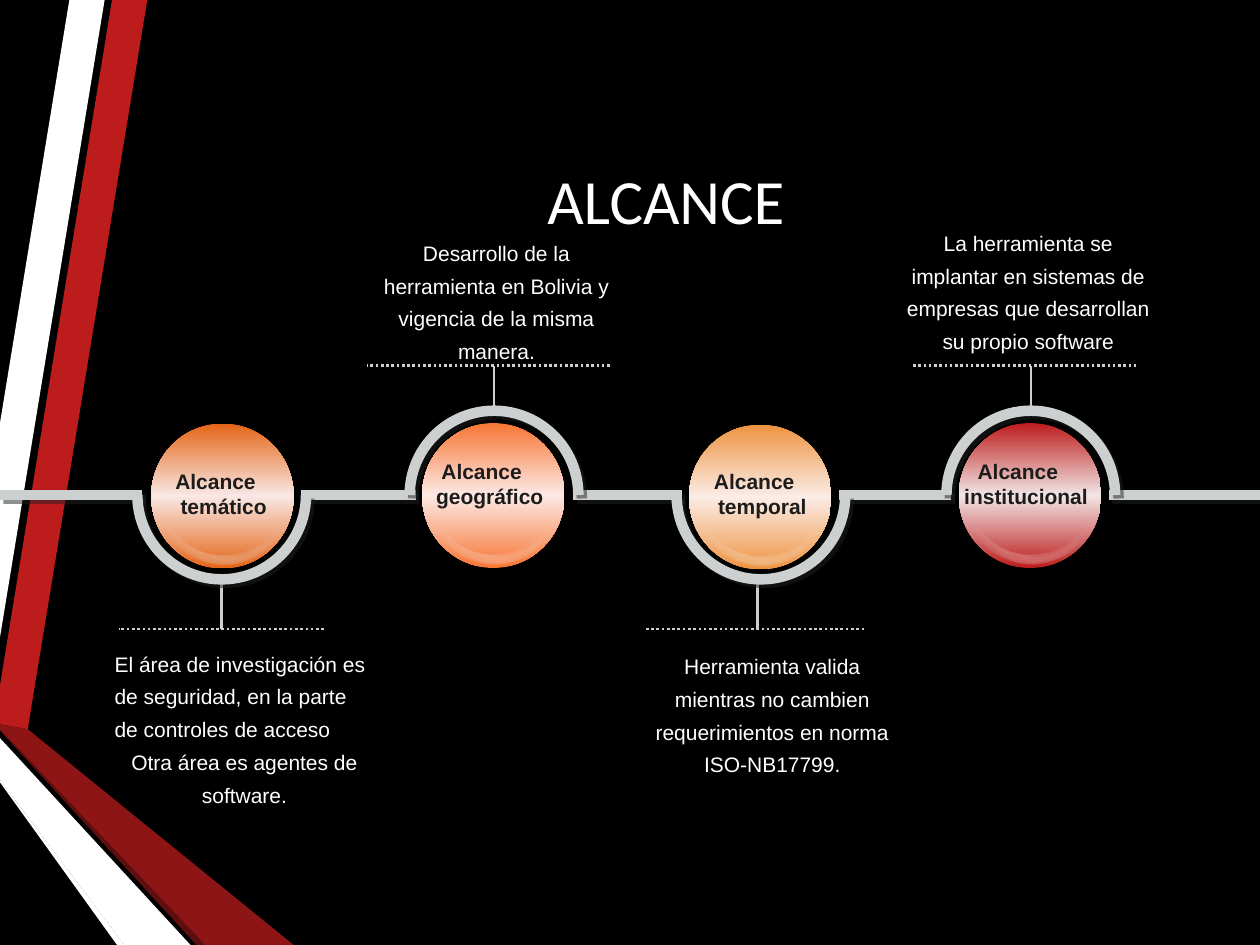
from copy import deepcopy
from math import cos, radians, sin

from lxml import etree
from pptx import Presentation
from pptx import util as u
from pptx.dml.color import RGBColor
from pptx.enum import dml, shapes, text
from pptx.oxml.ns import qn

THEME = {
    "bg": "000000", "white": "FFFFFF", "red": "BC1C1C", "dark": "8D1515",
    "edge": "5E0E0E", "track": "CDD0D1", "label": "1C1C1C", "shadow": "212121",
    "body_font": "Arial", "title_font": "Calibri", "body": 12, "title": 36,
}

# Content: lengths in cm; boxes are left, top, width, height
TITLE = ("ALCANCE", (2.72, 1.27, 21.41, 5.51))
STEPS = [
    dict(label="Alcance temático", label_box=(2.39, 9.32, 3.91, 1.27),
         paras=["El área de investigación es de seguridad, en la parte de controles de acceso",
                "Otra área es agentes de software."],
         note_box=(2.06, 12.85, 5.74, 3.58), up=False, cx=4.47, stem=4.47,
         rule=(2.39, 6.53), ball=(3.05, 8.54), fill=("E46416", "F9E8E5")),
    dict(label="Alcance geográfico", label_box=(7.92, 9.12, 3.58, 1.27),
         paras=["Desarrollo de la herramienta en Bolivia y vigencia de la misma manera."],
         note_box=(7.14, 4.57, 5.74, 2.92), up=True, cx=9.96, stem=9.96,
         rule=(7.39, 12.29), ball=(8.51, 8.53), fill=("F67534", "FDE9E5")),
    dict(label="Alcance temporal", label_box=(13.49, 9.32, 3.43, 1.27),
         paras=["Herramienta valida mientras no cambien requerimientos en norma ISO-NB17799."],
         note_box=(12.7, 12.9, 5.74, 2.92), up=False, cx=15.34, stem=15.27,
         rule=(13, 17.42), ball=(13.89, 8.56), fill=("EE9340", "FBECE6")),
    dict(label="Alcance institucional", label_box=(18.64, 9.12, 3.76, 1.27),
         paras=["La herramienta se implantar en sistemas de empresas que desarrollan su propio software"],
         note_box=(17.86, 4.37, 5.74, 2.84), up=True, cx=20.78, stem=20.78,
         rule=(18.39, 22.91), ball=(19.33, 8.53), fill=("BC1C1C", "F2E5E5")),
]
RIBBONS = [
    ("red", [(0, 13.82), (0, 14.6), (0.56, 14.7), (2.97, 0), (2.26, 0)]),
    ("white", [(2.11, 0), (1.4, 0), (0, 8.53), (0, 12.85)]),
    ("white", [(0, 15.72), (0, 15.77), (2.36, 19.05), (2.51, 19.05)]),
    ("edge", [(0, 14.7), (0, 14.73), (3.96, 19.05), (4.14, 19.05)]),
    ("dark", [(0, 14.7), (4.14, 19.05), (5.92, 19.05), (0.56, 14.7), (0, 14.6)]),
    ("white", [(0, 15.72), (2.51, 19.05), (3.84, 19.05), (0, 14.88)]),
]
TRACK_Y, ARC_R = 9.98, 1.7
TRACK = [(0, 2.87), (6.07, 8.38), (11.56, 13.74), (16.92, 19.18), (22.35, 25.4)]
STEM_Y = {True: (7.37, 8.28), False: (11.73, 12.67)}
RULE_Y = {True: 7.37, False: 12.68}
BALL_W, BALL_H = 2.87, 2.92
MOON_W, MOON_H, MOON_R = 0.38, 1.52, 1.19
MOON_ANGLES = [66.1, 79.7, 84.6, 93.5, 88.7, 102.2, 107.2, 116]


def rgb(color):
    return RGBColor.from_string(THEME.get(color, color))


def cm(*values):
    return [u.Cm(v) for v in values]


def plain(sp, color):
    sp.fill.solid()
    sp.fill.fore_color.rgb = rgb(color)
    sp.line.fill.background()
    sp.shadow.inherit = False


def stroke(sp, width, shadow=False):
    sp.line.color.rgb = rgb("track")
    sp.line.width = u.Pt(width)
    effects = etree.SubElement(sp._element.spPr, qn("a:effectLst"))
    if shadow:
        outer = etree.SubElement(effects, qn("a:outerShdw"), blurRad="0",
                                 dist=str(u.Pt(2.8)), dir="2700000", algn="ctr", rotWithShape="0")
        color = etree.SubElement(outer, qn("a:srgbClr"), val=THEME["shadow"])
        etree.SubElement(color, qn("a:alpha"), val="50000")


def line(s, x1, y1, x2, y2, width, shadow=False):
    sp = s.shapes.add_connector(shapes.MSO_CONNECTOR.STRAIGHT, *cm(x1, y1, x2, y2))
    stroke(sp, width, shadow)
    return sp


def write(s, box, paras, size, color, font="body_font", bold=False):
    tf = s.shapes.add_textbox(*cm(*box)).text_frame
    tf.word_wrap = True
    for i, words in enumerate(paras):
        p = tf.add_paragraph() if i else tf.paragraphs[0]
        p.text = words
        p.alignment = text.PP_ALIGN.CENTER
        p.font.name, p.font.size, p.font.bold = THEME[font], u.Pt(THEME[size]), bold
        p.font.color.rgb = rgb(color)
    return tf


def ball(s, left, top, colors):
    sp = s.shapes.add_shape(shapes.MSO_SHAPE.OVAL, *cm(left, top, BALL_W, BALL_H))
    plain(sp, colors[0])
    sp.fill.gradient()
    sp.fill.gradient_angle = 270
    stops = sp._element.spPr.find(".//" + qn("a:gsLst"))
    stops.append(deepcopy(stops[-1]))
    for stop, pos, color in zip(sp.fill.gradient_stops, (0, 0.5, 1), (*colors, colors[0])):
        stop.position, stop.color.rgb = pos, rgb(color)
    # Faint highlights fanned along the lower rim
    for angle in MOON_ANGLES:
        a = radians(angle - 3)
        x = left + BALL_W / 2 + MOON_R * cos(a) - MOON_W / 2
        y = top + BALL_H / 2 + MOON_R * sin(a) - MOON_H / 2
        sp = s.shapes.add_shape(shapes.MSO_SHAPE.MOON, *cm(x, y, MOON_W, MOON_H))
        sp.adjustments[0] = 0.5
        sp.rotation = angle + 180
        plain(sp, "white")
        color = sp._element.spPr.find(qn("a:solidFill"))[0]
        etree.SubElement(color, qn("a:alpha"), val="4000")


def main():
    prs = Presentation()
    prs.slide_width, prs.slide_height = cm(25.4, 19.05)
    s = prs.slides.add_slide(prs.slide_layouts[6])
    s.background.fill.solid()
    s.background.fill.fore_color.rgb = rgb("bg")

    # Ribbons at the left edge
    for color, points in RIBBONS:
        start, *rest = [cm(*pt) for pt in points]
        fb = s.shapes.build_freeform(*start)
        fb.add_line_segments(rest)
        plain(fb.convert_to_shape(), color)

    # Balls, stems, dotted rules and texts
    for st in STEPS:
        ball(s, *st["ball"], st["fill"])
    for st in STEPS:
        y1, y2 = STEM_Y[st["up"]]
        line(s, st["stem"], y1, st["stem"], y2, 1.5)
        (x1, x2), y = st["rule"], RULE_Y[st["up"]]
        line(s, x2, y, x1, y, 1.5).line.dash_style = dml.MSO_LINE.ROUND_DOT
        tf = write(s, st["note_box"], st["paras"], "body", "white")
        for p in tf.paragraphs:
            p.line_spacing = 1.3
        if len(tf.paragraphs) > 1:
            tf.paragraphs[0].alignment = text.PP_ALIGN.LEFT
        tf = write(s, st["label_box"], [st["label"]], "body", "label", bold=True)
        pPr = tf.paragraphs[0]._p.get_or_add_pPr()
        pPr.set("marL", str(u.Cm(0.33)))
        pPr.set("indent", str(-u.Cm(0.33)))

    # Track with half rings around the balls
    for x1, x2 in TRACK:
        line(s, x1, TRACK_Y, x2, TRACK_Y, 6, shadow=True)
    for st in STEPS:
        sp = s.shapes.add_shape(shapes.MSO_SHAPE.ARC, *cm(
            st["cx"] - ARC_R, TRACK_Y - ARC_R, 2 * ARC_R, 2 * ARC_R))
        # Angles in 60000ths of a degree, scaled by 100000
        sp.adjustments[0], sp.adjustments[1] = (108, 0) if st["up"] else (0, 108)
        sp.fill.background()
        stroke(sp, 6, shadow=True)

    # Title
    words, box = TITLE
    tf = write(s, box, [words], "title", "white", "title_font")
    tf.vertical_anchor = text.MSO_ANCHOR.MIDDLE
    prs.save("out.pptx")


if __name__ == "__main__":
    main()
